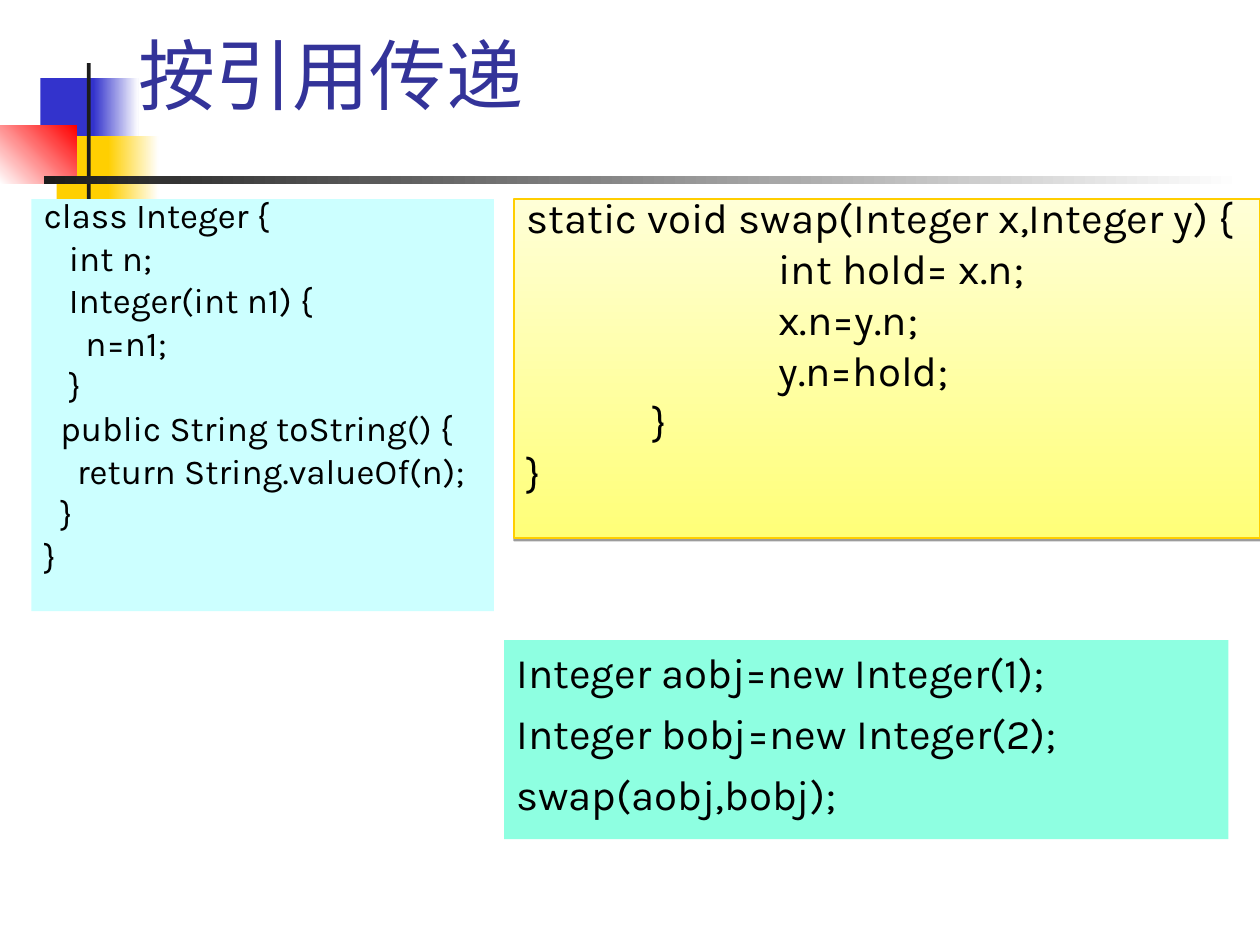
from lxml import etree
from pptx import Presentation
from pptx.dml.color import RGBColor
from pptx.enum.shapes import MSO_SHAPE
from pptx.enum.text import MSO_ANCHOR, MSO_AUTO_SIZE, PP_ALIGN
from pptx.oxml import parse_xml
from pptx.oxml.ns import nsdecls, qn
from pptx.util import Inches, Pt

WHITE = RGBColor(0xFF, 0xFF, 0xFF)
BLACK = RGBColor(0x00, 0x00, 0x00)
CHARCOAL = RGBColor(0x1C, 0x1C, 0x1C)
BLUE = RGBColor(0x33, 0x33, 0xCC)
GOLD = RGBColor(0xFF, 0xCF, 0x01)
RED = RGBColor(0xFF, 0x00, 0x00)
TITLE_BLUE = RGBColor(0x33, 0x33, 0x99)
MINT = RGBColor(0x8E, 0xFF, 0xE1)
PALE_CYAN = RGBColor(0xCC, 0xFF, 0xFF)
YELLOW = RGBColor(0xFF, 0xFF, 0x78)
PALE_YELLOW = RGBColor(0xFF, 0xFF, 0xD7)
BORDER_GOLD = RGBColor(0xFF, 0xCE, 0x00)

CODE_FONT = "Karla"
TITLE_FONT = "Noto Sans CJK SC"


def add_rectangle(slide, box, colors, angle=0):
    shape = slide.shapes.add_shape(MSO_SHAPE.RECTANGLE, *map(Inches, box))
    shape.shadow.inherit = False
    shape.line.fill.background()
    if len(colors) == 1:
        shape.fill.solid()
        shape.fill.fore_color.rgb = colors[0]
    else:
        shape.fill.gradient()
        shape.fill.gradient_angle = angle
        for stop, color in zip(shape.fill.gradient_stops, colors):
            stop.color.rgb = color
    return shape


def write_code(shape, lines, size, space, line_spacing=None, hanging=0):
    text_frame = shape.text_frame
    text_frame.word_wrap = True
    text_frame.vertical_anchor = MSO_ANCHOR.TOP
    text_frame.text = "\n".join(lines)
    for index, paragraph in enumerate(text_frame.paragraphs):
        properties = paragraph._p.get_or_add_pPr()
        if hanging:
            properties.set("marL", str(Inches(hanging)))
            properties.set("indent", str(-Inches(hanging)))
        tab_list = etree.SubElement(properties, qn("a:tabLst"))
        for inch in range(8):
            etree.SubElement(tab_list, qn("a:tab"), pos=str(Inches(inch)), algn="l")
        paragraph.alignment = PP_ALIGN.LEFT
        paragraph.line_spacing = line_spacing
        paragraph.space_before = Pt(space if index else 0)
        for run in paragraph.runs:
            run.font.name = CODE_FONT
            run.font.size = Pt(size)
            run.font.color.rgb = BLACK


presentation = Presentation()
presentation.slide_width = Inches(10)
presentation.slide_height = Inches(7.5)
slide = presentation.slides.add_slide(presentation.slide_layouts[5])

decorations = [
    ((0.32, 0.62, 0.48, 0.52), [BLUE], 0),
    ((0.74, 0.62, 0.36, 0.52), [BLUE, WHITE], 0),
    ((0.45, 1.08, 0.46, 0.52), [GOLD], 0),
    ((0.86, 1.08, 0.4, 0.52), [GOLD, WHITE], 0),
    ((0, 1, 0.61, 0.46), [WHITE, RED], 45),
    ((0.69, 0.5, 0.03, 1.15), [CHARCOAL], 0),
    ((0.35, 1.4, 9.51, 0.06), [CHARCOAL, WHITE], 0),
]
for box, colors, angle in decorations:
    add_rectangle(slide, box, colors, angle)

usage_box = add_rectangle(slide, (4, 5.08, 5.75, 1.58), [MINT])
usage_code = [
    "Integer aobj=new Integer(1);",
    "Integer bobj=new Integer(2);",
    "swap(aobj,bobj);",
]
write_code(usage_box, usage_code, 24, 6, hanging=0.38)

class_box = add_rectangle(slide, (0.25, 1.58, 3.67, 3.27), [PALE_CYAN])
class_code = [
    "class Integer {",
    "   int n;",
    "   Integer(int n1) {",
    "     n=n1;",
    "   }",
    "  public String toString() {",
    "    return String.valueOf(n);",
    "  }",
    "}",
]
write_code(class_box, class_code, 20, 7.5, line_spacing=0.7)

swap_box = add_rectangle(slide, (4.08, 1.58, 5.92, 2.69), [YELLOW, PALE_YELLOW], 90)
swap_box.line.color.rgb = BORDER_GOLD
swap_box.line.width = Pt(0.75)
effects = swap_box._element.spPr.find(qn("a:effectLst"))
effects.append(parse_xml(
    f'<a:outerShdw {nsdecls("a")} blurRad="0" dist="{Pt(1.6)}" dir="5400000" rotWithShape="0">'
    '<a:srgbClr val="000000"><a:alpha val="38000"/></a:srgbClr></a:outerShdw>'
))
swap_code = [
    "static void swap(Integer x,Integer y) {",
    "\t\tint hold= x.n;",
    "\t\tx.n=y.n;",
    "\t\ty.n=hold;",
    "\t}",
    "}",
]
write_code(swap_box, swap_code, 24, 9, line_spacing=0.7)

title = slide.shapes.title
title.left, title.top = Inches(1), Inches(0)
title.width, title.height = Inches(8.58), Inches(1)
title.text_frame.text = "按引用传递"
title.text_frame.auto_size = MSO_AUTO_SIZE.NONE
title.text_frame.vertical_anchor = MSO_ANCHOR.BOTTOM
paragraph = title.text_frame.paragraphs[0]
paragraph.alignment = PP_ALIGN.LEFT
run = paragraph.runs[0]
run.font.size = Pt(44)
run.font.color.rgb = TITLE_BLUE
run.font.name = TITLE_FONT
etree.SubElement(run._r.get_or_add_rPr(), qn("a:ea"), typeface=TITLE_FONT)

presentation.save("out.pptx")
